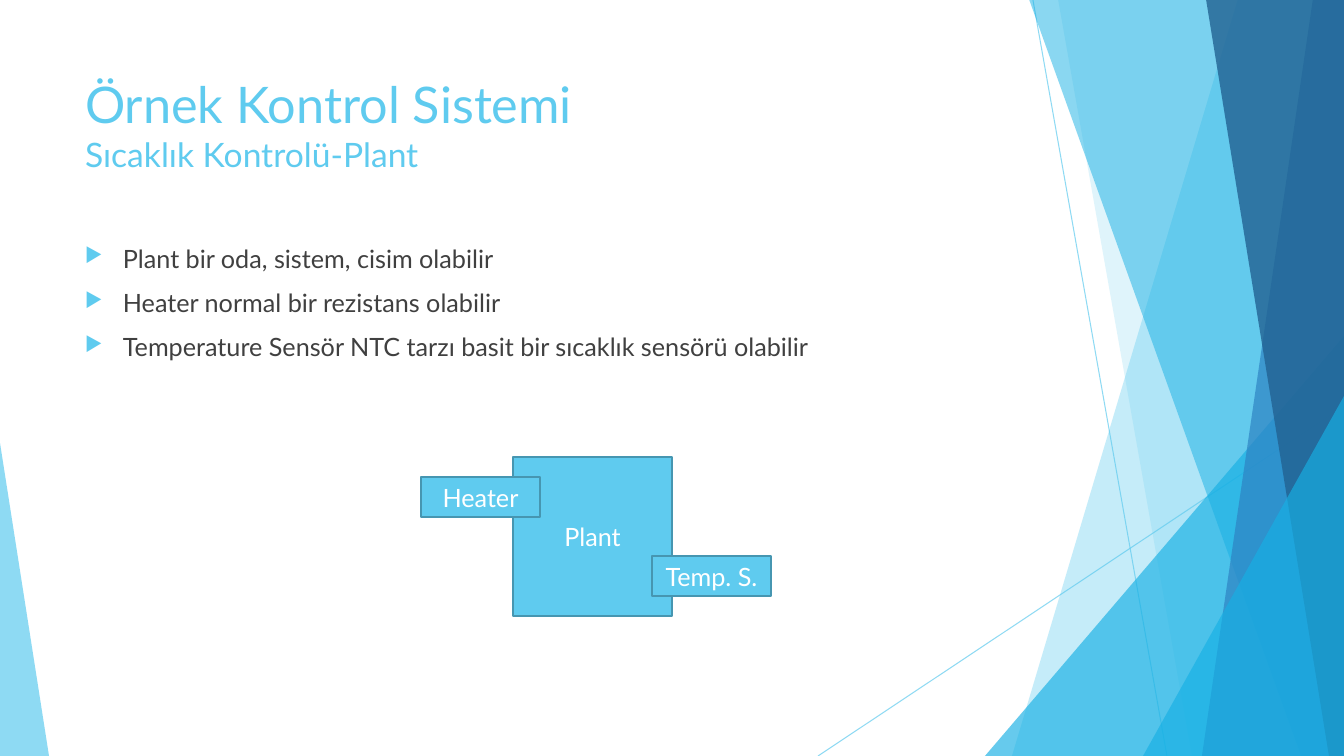
from dataclasses import dataclass

from lxml import etree
from pptx import Presentation
from pptx.dml.color import RGBColor
from pptx.enum.shapes import MSO_CONNECTOR, MSO_SHAPE
from pptx.enum.text import MSO_ANCHOR, MSO_AUTO_SIZE, PP_ALIGN
from pptx.oxml.ns import qn
from pptx.util import Pt

EMU_PER_PX = 914400 / 100.8
WIDTH, HEIGHT = 1344, 756
TITLE_ONLY = 5
STRAIGHT = MSO_CONNECTOR.STRAIGHT
RECT, TRIANGLE = MSO_SHAPE.RECTANGLE, MSO_SHAPE.ISOSCELES_TRIANGLE
TOP, MIDDLE = MSO_ANCHOR.TOP, MSO_ANCHOR.MIDDLE
LEFT, CENTER = PP_ALIGN.LEFT, PP_ALIGN.CENTER
NO_AUTOFIT = MSO_AUTO_SIZE.NONE


@dataclass(frozen=True)
class Theme:
    """Colours, font and type sizes of the slide."""
    font: str = "Lato"
    sky: str = "5FCBEF"
    cyan: str = "17B0E4"
    blue: str = "2E83C3"
    navy: str = "226292"
    outline: str = "4696B1"
    body: str = "404040"
    white: str = "FFFFFF"
    title_size: int = 36
    subtitle_size: int = 24
    text_size: int = 18


def px(length):
    """Turn picture pixels into EMU."""
    return round(length * EMU_PER_PX)


def sub(parent, tag, **attrs):
    """Append a DrawingML child element with attributes."""
    return etree.SubElement(parent, qn(tag), **attrs)


class SlideBuilder:
    """Holds the theme and the current slide."""

    def __init__(self, slide, theme):
        """Keep the slide and its theme."""
        self.s, self.theme = slide, theme

    def set_fill(self, fill, color, alpha=100):
        """Apply a solid colour with an opacity in percent."""
        fill.solid()
        fill.fore_color.rgb = RGBColor.from_string(color)
        if alpha < 100:
            for clr in fill._xPr.iter(qn("a:srgbClr")):
                sub(clr, "a:alpha", val=str(alpha * 1000))

    def set_font(self, font, color, size=None):
        """Apply the theme font, a colour and an optional size."""
        font.name = self.theme.font
        font.color.rgb = RGBColor.from_string(color)
        if size:
            font.size = Pt(size)

    def line(self, x1, y1, x2, y2):
        """Draw a thin translucent line."""
        ln = self.s.shapes.add_connector(STRAIGHT, px(x1), px(y1), px(x2), px(y2))
        ln.line.width = Pt(0.75)
        self.set_fill(ln.line.fill, self.theme.sky, 70)
        sub(ln._element.spPr, "a:effectLst")

    def band(self, top_x, bottom_x, color, alpha):
        """Fill the area from a slanted edge to the right slide border."""
        ff = self.s.shapes.build_freeform(px(top_x), px(-1))
        ff.add_line_segments([(px(x), px(y)) for x, y in
                              ((WIDTH, -1), (WIDTH, HEIGHT), (bottom_x, HEIGHT))])
        sp = ff.convert_to_shape()
        sp.shadow.inherit = False
        self.set_fill(sp.fill, color, alpha)
        sp.line.fill.background()

    def corner(self, x, y, width, apex, color, alpha):
        """Draw a right triangle standing on the bottom slide edge."""
        sp = self.s.shapes.add_shape(TRIANGLE, px(x), px(y), px(width), px(HEIGHT - y))
        sp.adjustments[0] = apex
        sp.shadow.inherit = False
        self.set_fill(sp.fill, color, alpha)
        sp.line.fill.background()

    def box(self, x, y, width, height, text):
        """Draw a labelled block of the diagram."""
        sp = self.s.shapes.add_shape(RECT, px(x), px(y), px(width), px(height))
        sp.shadow.inherit = False
        self.set_fill(sp.fill, self.theme.sky)
        self.set_fill(sp.line.fill, self.theme.outline)
        sp.line.width = Pt(1.5)
        tf = sp.text_frame
        tf.vertical_anchor = MIDDLE
        p = tf.paragraphs[0]
        p.text, p.alignment = text, CENTER
        self.set_font(p.font, self.theme.white, self.theme.text_size)

    def title(self, x, y, width, height, text, subtitle):
        """Place the title and its smaller second line."""
        sp = self.s.shapes.title
        sp.left, sp.top, sp.width, sp.height = px(x), px(y), px(width), px(height)
        self.s.shapes._spTree.append(sp._element)
        tf = sp.text_frame
        tf.auto_size, tf.vertical_anchor = NO_AUTOFIT, TOP
        p = tf.paragraphs[0]
        p.alignment = LEFT
        self.set_font(p.font, self.theme.sky)
        r = p.add_run()
        r.text, r.font.size = text, Pt(self.theme.title_size)
        p.add_line_break()
        sub(p._p[-1], "a:rPr", sz=str(self.theme.title_size * 100))
        r = p.add_run()
        r.text, r.font.size = subtitle, Pt(self.theme.subtitle_size)

    def bullets(self, x, y, width, height, items):
        """Write a list with triangle bullets."""
        tf = self.s.shapes.add_textbox(px(x), px(y), px(width), px(height)).text_frame
        tf.word_wrap = True
        for i, item in enumerate(items):
            p = tf.add_paragraph() if i else tf.paragraphs[0]
            p.text, p.space_before = item, Pt(10)
            pPr = p._p.get_or_add_pPr()
            pPr.set("marL", str(px(38)))
            pPr.set("indent", str(px(-38)))
            sub(sub(pPr, "a:buClr"), "a:srgbClr", val=self.theme.sky)
            sub(pPr, "a:buSzPct", val="80000")
            sub(pPr, "a:buChar", char="▶")
            self.set_font(p.font, self.theme.body, self.theme.text_size)


def main():
    """Build the slide and save it."""
    prs = Presentation()
    prs.slide_width, prs.slide_height = px(WIDTH), px(HEIGHT)
    theme = Theme()
    b = SlideBuilder(prs.slides.add_slide(prs.slide_layouts[TITLE_ONLY]), theme)

    b.line(1033, 0, 1167, HEIGHT)
    b.line(WIDTH, 406, 818, HEIGHT)
    b.band(1238, 1012, theme.sky, 36)
    b.band(1058, 1192, theme.sky, 20)
    b.corner(985, 336, 359, 1, theme.cyan, 66)
    for top_x, bottom_x, color, alpha in ((1029, 1301, theme.cyan, 50),
                                          (1313, 1202, theme.blue, 70),
                                          (1206, 1329, theme.navy, 80)):
        b.band(top_x, bottom_x, color, alpha)
    b.corner(1143, 396, 201, 1, theme.cyan, 66)
    b.corner(0, 443, 49, 0, theme.sky, 70)

    b.title(75, 68, 948, 145, "Örnek Kontrol Sistemi", "Sıcaklık Kontrolü-Plant")
    b.bullets(75, 238, 948, 427, (
        "Plant bir oda, sistem, cisim olabilir",
        "Heater normal bir rezistans olabilir",
        "Temperature Sensör NTC tarzı basit bir sıcaklık sensörü olabilir"))

    b.box(513, 457, 159, 159, "Plant")
    for x, y, label in ((421, 477, "Heater"), (652, 556, "Temp. S.")):
        b.box(x, y, 119, 40, label)

    prs.save("out.pptx")


main()
